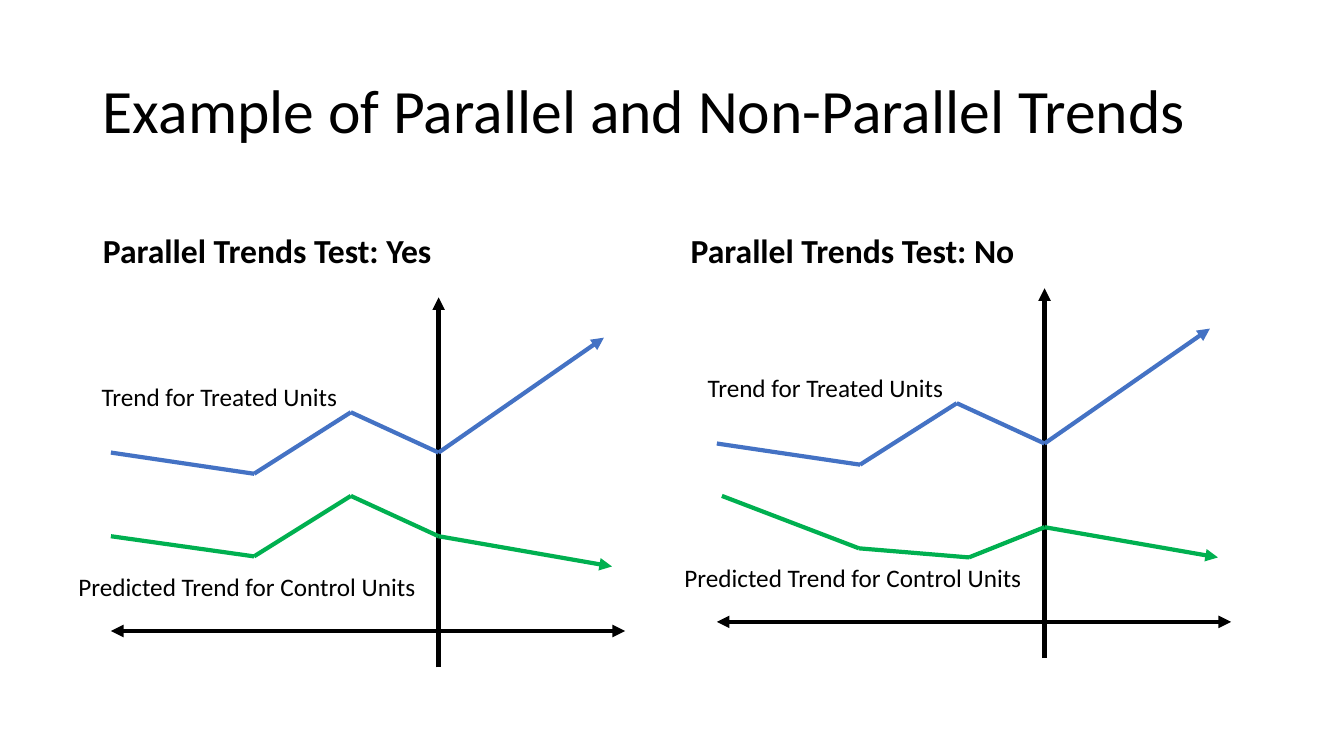
from itertools import pairwise

from lxml.etree import SubElement
from pptx import Presentation
from pptx.dml.color import RGBColor
from pptx.enum.shapes import MSO_CONNECTOR
from pptx.enum.text import MSO_ANCHOR, MSO_AUTO_SIZE, PP_ALIGN
from pptx.oxml.ns import qn
from pptx.util import Pt

PX = 9144  # 100 px to the inch
COLORS = {"black": "000000", "treated": "4472C4", "control": "00B050"}

prs = Presentation()
prs.slide_width, prs.slide_height = 1333 * PX, 750 * PX
slide = prs.slides.add_slide(prs.slide_layouts[4])


def write(sp, text, box, size, bold=False):
    sp.left, sp.top, sp.width, sp.height = [v * PX for v in box]
    p = sp.text_frame.paragraphs[0]
    p.alignment = PP_ALIGN.LEFT
    r = p.add_run()
    r.text = text
    r.font.name, r.font.size, r.font.bold = "Calibri", Pt(size), bold
    r.font.color.rgb = RGBColor.from_string(COLORS["black"])
    return p


def add_line(start, end, color, arrows=()):
    """Draw a line; arrows lists the ends (headEnd, tailEnd) with a triangle."""
    line = slide.shapes.add_connector(
        MSO_CONNECTOR.STRAIGHT, *[v * PX for v in (*start, *end)])
    line.line.color.rgb = RGBColor.from_string(COLORS[color])
    line.line.width = Pt(3)
    ln = line.line._get_or_add_ln()
    for arrow in arrows:
        SubElement(ln, qn(f"a:{arrow}"), type="triangle")
    SubElement(line._element.spPr, qn("a:effectLst"))


# Title and the two column headings
title, left_head, left_body, right_head, right_body = list(slide.placeholders)[:5]
for sp in (left_body, right_body):
    sp.element.getparent().remove(sp.element)

headings = [
    (title, "Example of Parallel and Non-Parallel Trends",
     (92, 40, 1150, 145), 44, False, MSO_ANCHOR.MIDDLE, 0),
    (left_head, "Parallel Trends Test: Yes",
     (92, 184, 564, 90), 24, True, MSO_ANCHOR.BOTTOM, 10),
    (right_head, "Parallel Trends Test: No",
     (675, 184, 567, 90), 24, True, MSO_ANCHOR.BOTTOM, 10),
]
for sp, text, box, size, bold, anchor, before in headings:
    p = write(sp, text, box, size, bold)
    p.line_spacing, p.space_before = 0.9, Pt(before)
    sp.text_frame.vertical_anchor = anchor
    sp.text_frame.auto_size = MSO_AUTO_SIZE.NONE

# Two charts: same axes, labels and treated trend, different control trend
treated = [(110, 449), (252, 470), (348, 409), (435, 449), (599, 335)]
parallel = [(110, 532), (252, 552), (348, 492), (435, 532), (607, 562)]
non_parallel = [(115, 501), (251, 553), (360, 562), (435, 532), (607, 562)]
labels = [
    ("Trend for Treated Units", 91, 373, 256),
    ("Predicted Trend for Control Units", 68, 562, 358),
]

for dx, dy, control in [(0, 0, parallel), (601, -9, non_parallel)]:
    paths = [
        ([(435, 662), (435, 295)], "black", ["tailEnd"]),
        ([(620, 626), (110, 626)], "black", ["headEnd", "tailEnd"]),
        (treated, "treated", ["tailEnd"]),
        (control, "control", ["tailEnd"]),
    ]
    for points, color, arrows in paths:
        moved = [(x + dx, y + dy) for x, y in points]
        for start, end in pairwise(moved):
            add_line(start, end, color, arrows if end == moved[-1] else ())

    for text, x, y, width in labels:
        label = slide.shapes.add_textbox(0, 0, 0, 0)
        label.text_frame.word_wrap = False
        write(label, text, (x + dx, y + dy, width, 40), 18)

prs.save("out.pptx")
